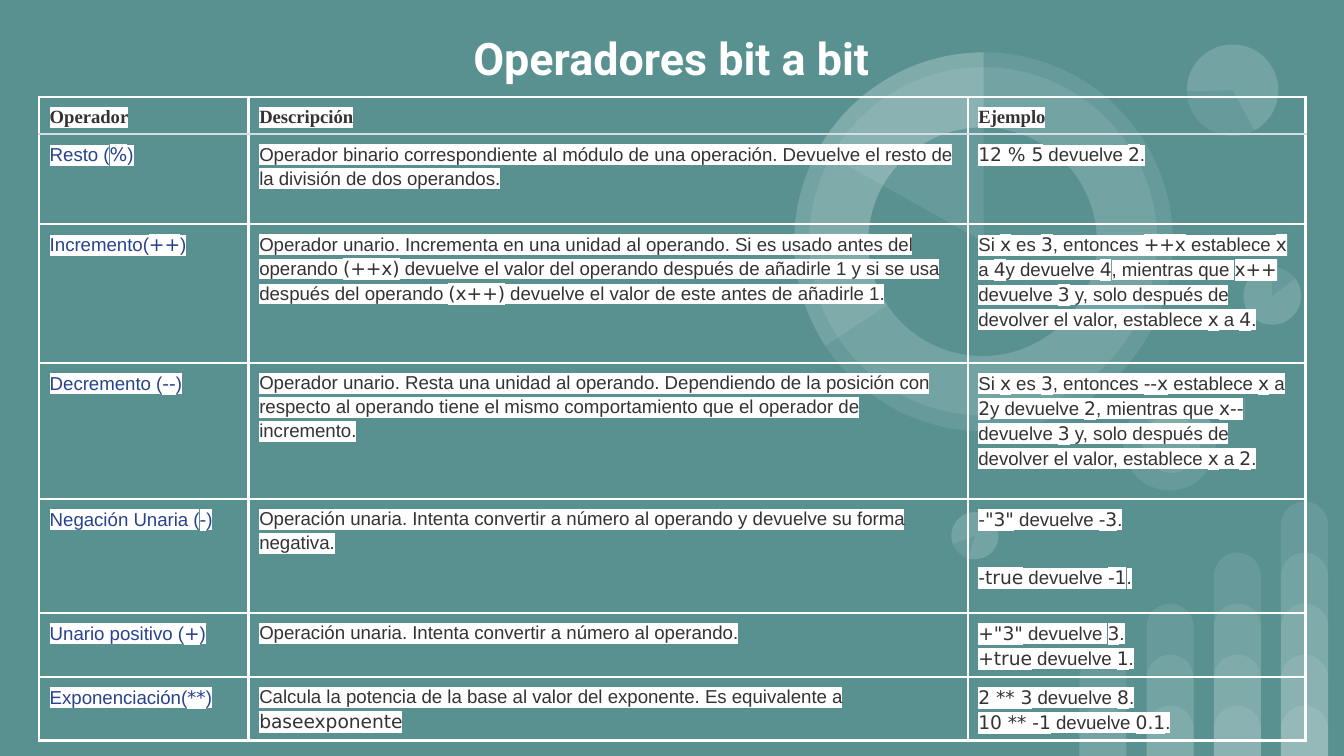
import pptx
import pptx.dml.color
import pptx.enum.dml
import pptx.enum.shapes
import pptx.enum.text
import pptx.oxml
import pptx.oxml.ns
import pptx.util
from lxml import etree

Cm, Pt = pptx.util.Cm, pptx.util.Pt
SHAPE = pptx.enum.shapes.MSO_SHAPE
qn = pptx.oxml.ns.qn

COLORS = {
    "background": "599191",
    "white": "FFFFFF",
    "text": "333333",
    "operator": "27428F",
    "header_rule": "D4DDE4",
}
HEIGHT = 14.29

# left, top, diameter, rotation, and for a sector its start and end angles
DISCS = [
    (23.5, 5.05, 1.09, 0, None),
    (17.98, 9.68, 0.89, 196.2, None),
    (21.23, 7.52, 1.75, 90, None),
    (21.23, 7.52, 1.75, 90, (137.41, 270.77)),
    (21.59, 7.85, 1.09, 90, None),
    (23.5, 5.05, 1.09, 0, (322.95, 270)),
    (22.43, 0.84, 1.73, 215.9, None),
    (22.43, 0.84, 1.73, 215.9, (322.95, 205.23)),
    (17.98, 9.68, 0.89, 196.2, (322.95, 270)),
    (15.01, 0.99, 7.16, 0, None),
    (15.29, 1.27, 6.58, 34.1, None),
    (15.01, 0.99, 7.16, 0, (146.69, 270)),
]
HUB = (16.41, 2.41, 4.32, 34.1, None)
HUB_SECTOR = (15.01, 0.99, 7.16, 0, (209.24, 270))

COLUMN_WIDTHS = [3.96, 13.59, 6.38]
ROW_HEIGHTS = [0.56, 1.7, 2.62, 2.57, 2.16, 1.19, 1.19]
HEADER = ["Operador", "Descripción", "Ejemplo"]
# Backticks enclose code; a line break starts a new paragraph.
ROWS = [
    ["Resto (`%`)",
     "Operador binario correspondiente al módulo de una operación. "
     "Devuelve el resto de la división de dos operandos.",
     "`12 % 5` devuelve `2`."],
    ["Incremento(`++`)",
     "Operador unario. Incrementa en una unidad al operando. Si es usado antes "
     "del operando `(++x)` devuelve el valor del operando después de añadirle 1 "
     "y si se usa después del operando `(x++)` devuelve el valor de este antes "
     "de añadirle 1.",
     "Si `x` es `3`, entonces `++x` establece `x` a `4`y devuelve `4`, mientras "
     "que `x++` devuelve `3` y, solo después de devolver el valor, establece "
     "`x` a `4`."],
    ["Decremento (`--`)",
     "Operador unario. Resta una unidad al operando. Dependiendo de la posición "
     "con respecto al operando tiene el mismo comportamiento que el operador de "
     "incremento.",
     "Si `x` es `3`, entonces `--x` establece `x` a `2`y devuelve `2`, mientras "
     "que `x--` devuelve `3` y, solo después de devolver el valor, establece "
     "`x` a `2`."],
    ["Negación Unaria (`-`)",
     "Operación unaria. Intenta convertir a número al operando y devuelve su "
     "forma negativa.",
     '`-"3"` devuelve `-3`.\n`-true` devuelve `-1`.'],
    ["Unario positivo (`+`)",
     "Operación unaria. Intenta convertir a número al operando.",
     '`+"3"` devuelve `3`.\n`+true` devuelve `1`.'],
    ["Exponenciación(`**`)",
     "Calcula la potencia de la base al valor del exponente. Es equivalente a "
     "`baseexponente`",
     "`2 ** 3` devuelve `8`.\n`10 ** -1` devuelve `0.1`."],
]
NEGATION_ROW = 4


def rgb(name):
    return pptx.dml.color.RGBColor.from_string(COLORS[name])


def fill_shape(sp, color, alpha=None):
    """Fill without line or shadow; alpha is the opacity in percent."""
    sp.shadow.inherit = False
    sp.line.fill.background()
    sp.fill.solid()
    sp.fill.fore_color.rgb = rgb(color)
    if alpha is not None:
        clr = sp.element.spPr.find(qn("a:solidFill"))[0]
        etree.SubElement(clr, qn("a:alpha"), val=str(alpha * 1000))


def add_bars(s):
    """Overlapping rounded bars, each column one step taller than the last."""
    for column in range(4):
        for level in range(column + 2):
            h = 0.95 + 0.965 * level
            sp = s.shapes.add_shape(SHAPE.ROUND_2_SAME_RECTANGLE,
                                    Cm(20.4 + 1.27 * column), Cm(HEIGHT - h),
                                    Cm(0.89), Cm(h))
            sp.adjustments[0] = 0.5
            fill_shape(sp, "white", 9)


def add_disc(s, disc, color="white", alpha=9):
    left, top, size, rotation, angles = disc
    sp = s.shapes.add_shape(SHAPE.PIE if angles else SHAPE.OVAL,
                            Cm(left), Cm(top), Cm(size), Cm(size))
    for i, angle in enumerate(angles or ()):
        sp.adjustments[i] = angle * 0.6  # 60000 units a degree, in 100000ths
    sp.rotation = rotation
    fill_shape(sp, color, alpha)


def format_title(title, text):
    title.left, title.top, title.width, title.height = Cm(1.85), Cm(0.56), Cm(21.67), Cm(1.07)
    tf = title.text_frame
    tf.text = text
    tf.vertical_anchor = pptx.enum.text.MSO_ANCHOR.MIDDLE
    p = tf.paragraphs[0]
    p.alignment = pptx.enum.text.PP_ALIGN.CENTER
    font = p.runs[0].font
    font.size, font.bold, font.name = Pt(24), True, "Roboto"
    font.color.rgb = rgb("white")
    # Bring the title in front of the decoration
    title.element.getparent().append(title.element)


def format_run(r, font_name, color, bold):
    font = r.font
    font.size, font.bold = Pt(10), bold
    font.color.rgb = rgb(color)
    highlight = etree.Element(qn("a:highlight"))
    etree.SubElement(highlight, qn("a:srgbClr"), val=COLORS["white"])
    r.font.fill  # the highlight belongs right after the fill
    r.element.rPr.find(qn("a:solidFill")).addnext(highlight) if hasattr(r, "element") \
        else r._r.rPr.find(qn("a:solidFill")).addnext(highlight)
    font.name = font_name


def write_cell(cell, text, font_name, color, bold=False, gap=0):
    """Write the text, setting the parts between backticks as code."""
    cell.margin_left = cell.margin_right = Cm(0.2)
    cell.margin_top = cell.margin_bottom = Cm(0.13)
    cell.fill.background()
    tf = cell.text_frame
    for i, line in enumerate(text.split("\n")):
        p = tf.add_paragraph() if i else tf.paragraphs[0]
        p.line_spacing = 1.15
        p.space_before = Pt(gap if i else 0)
        for k, part in enumerate(line.split("`")):
            if part:
                r = p.add_run()
                r.text = part
                format_run(r, "DejaVu Sans" if k % 2 else font_name, color, bold)


def set_borders(cell, **colors):
    """Outline the cell in white, except for the sides given a colour."""
    tcPr = cell._tc.get_or_add_tcPr()
    for i, side in enumerate("LRTB"):
        ln = etree.Element(qn("a:ln" + side), w=str(Pt(1.47)))
        solid = etree.SubElement(ln, qn("a:solidFill"))
        etree.SubElement(solid, qn("a:srgbClr"), val=COLORS[colors.get(side, "white")])
        tcPr.insert(i, ln)


def add_operator_table(s):
    table = s.shapes.add_table(len(ROW_HEIGHTS), len(COLUMN_WIDTHS), Cm(0.74), Cm(1.83),
                               Cm(sum(COLUMN_WIDTHS)), Cm(sum(ROW_HEIGHTS))).table
    table.first_row = table.horz_banding = False
    for column, width in zip(table.columns, COLUMN_WIDTHS):
        column.width = Cm(width)
    for i, (row, height) in enumerate(zip(table.rows, ROW_HEIGHTS)):
        row.height = Cm(height)
        for j, cell in enumerate(row.cells):
            if i == 0:
                write_cell(cell, HEADER[j], "Times New Roman", "text", bold=True)
                set_borders(cell, B="header_rule")
            else:
                write_cell(cell, ROWS[i - 1][j], "Arial", "text" if j else "operator",
                           gap=18 if i == NEGATION_ROW else 0)
                set_borders(cell, **({"T": "header_rule"} if i == 1 else {}))


def main():
    prs = pptx.Presentation()
    prs.slide_width, prs.slide_height = Cm(25.4), Cm(HEIGHT)
    s = prs.slides.add_slide(prs.slide_layouts[5])
    s.background.fill.solid()
    s.background.fill.fore_color.rgb = rgb("background")
    add_bars(s)
    for disc in DISCS:
        add_disc(s, disc)
    add_disc(s, HUB, "background", None)
    add_disc(s, HUB_SECTOR)
    format_title(s.shapes.title, "Operadores bit a bit")
    add_operator_table(s)
    prs.save("out.pptx")


if __name__ == "__main__":
    main()
